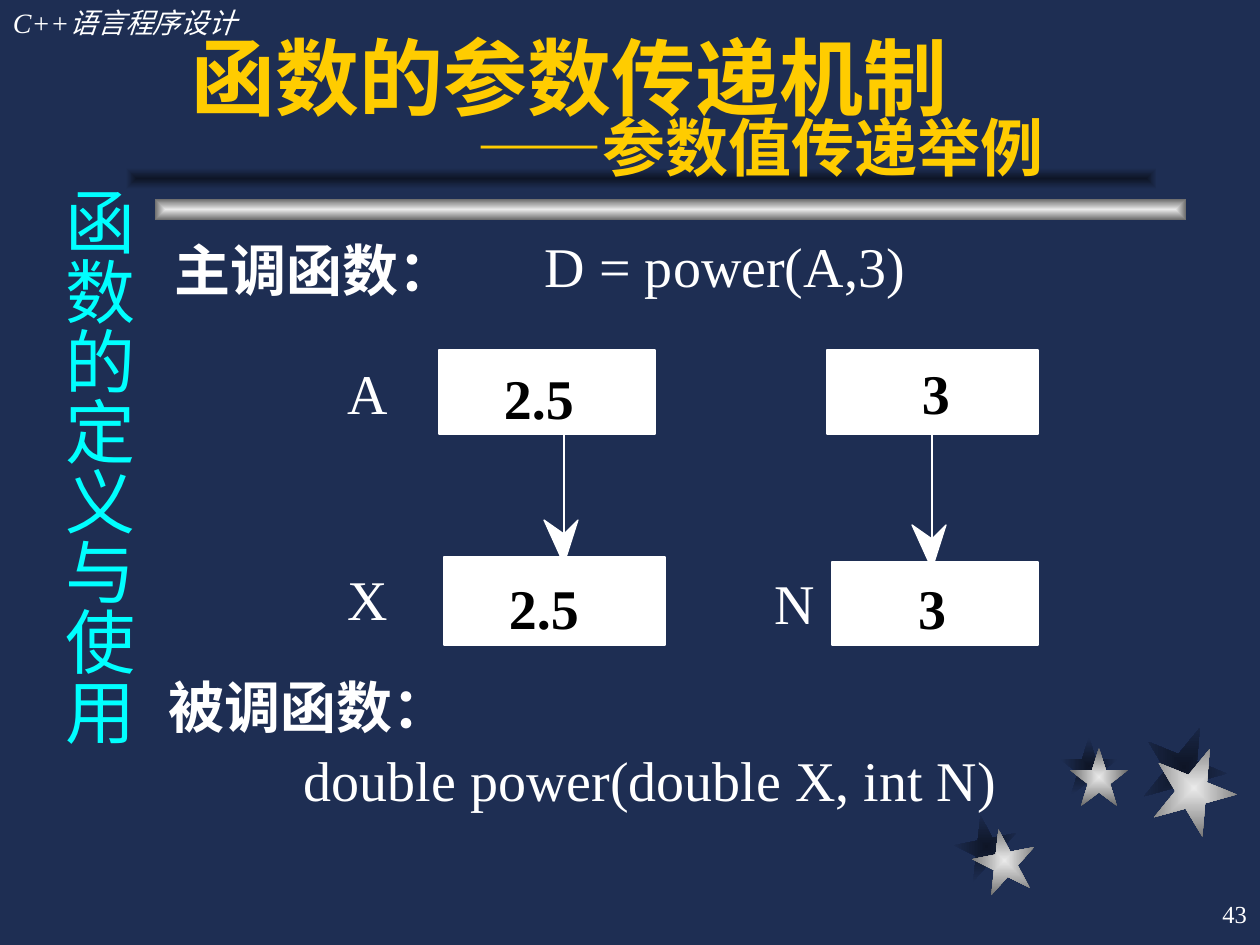
from dataclasses import dataclass
from typing import NamedTuple

from lxml import etree
from pptx import Presentation
from pptx.dml.color import RGBColor
from pptx.enum.shapes import MSO_CONNECTOR, MSO_SHAPE
from pptx.enum.text import MSO_ANCHOR, MSO_AUTO_SIZE, PP_ALIGN
from pptx.oxml.ns import qn
from pptx.util import Emu, Pt

RECTANGLE, STAR = MSO_SHAPE.RECTANGLE, MSO_SHAPE.STAR_5_POINT
STRAIGHT = MSO_CONNECTOR.STRAIGHT
TOP, MIDDLE, BOTTOM = MSO_ANCHOR.TOP, MSO_ANCHOR.MIDDLE, MSO_ANCHOR.BOTTOM
LEFT, RIGHT = PP_ALIGN.LEFT, PP_ALIGN.RIGHT
GROW = MSO_AUTO_SIZE.SHAPE_TO_FIT_TEXT

PX = 914400 / 126


@dataclass(frozen=True)
class Theme:
    background: str = "1E2E53"
    white: str = "FFFFFF"
    black: str = "000000"
    gold: str = "FFCC00"
    cyan: str = "00FFFF"
    metal: tuple[str, str] = ("EAEAEA", "6C6C6C")
    shade: tuple[str, str] = ("0E1526", "1E2E53")
    serif: str = "Times New Roman"
    sans: str = "Arial"
    title: int = 48
    subtitle: int = 36
    chapter: int = 40
    body: int = 32
    course: int = 16
    number: int = 14


THEME = Theme()


class Box(NamedTuple):
    left: int
    top: int
    width: int
    height: int


class Star(NamedTuple):
    shadow: Box
    front: Box
    rotation: int


class Label(NamedTuple):
    text: str
    box: Box
    color: str = THEME.white
    bold: bool = False


class Arrow(NamedTuple):
    x: int
    start: int
    tip: int


STARS = [
    Star(Box(955, 815, 63, 63), Box(973, 829, 63, 63), 349),
    Star(Box(1060, 737, 58, 58), Box(1070, 748, 58, 58), 0),
    Star(Box(1142, 725, 84, 84), Box(1152, 746, 84, 84), 22),
]
VALUE_BOXES = [
    Box(439, 350, 216, 84), Box(827, 350, 211, 84),
    Box(444, 557, 221, 88), Box(832, 562, 206, 83),
]
ARROWS = [Arrow(564, 412, 564), Arrow(932, 417, 569)]
LABELS = [
    Label("主调函数：", Box(174, 236, 282, 67), bold=True),
    Label("D = power(A,3)", Box(545, 231, 364, 67)),
    Label("A", Box(348, 358, 42, 67)),
    Label("X", Box(348, 564, 42, 67)),
    Label("N", Box(775, 569, 42, 67)),
    Label("2.5", Box(504, 363, 74, 67), THEME.black, True),
    Label("3", Box(922, 358, 30, 67), THEME.black, True),
    Label("2.5", Box(509, 573, 74, 67), THEME.black, True),
    Label("3", Box(918, 573, 30, 67), THEME.black, True),
    Label("被调函数：", Box(168, 672, 282, 67), bold=True),
    Label("double power(double X, int N)", Box(304, 746, 696, 67)),
]


def px(length: int) -> Emu:
    return Emu(round(length * PX))


def place(box: Box) -> list[Emu]:
    return [px(length) for length in box]


def rgb(color: str) -> RGBColor:
    return RGBColor.from_string(color)


def write(paragraph, text: str, *, size: int, color: str = THEME.white,
          font: str = THEME.serif, bold: bool = False, italic: bool = False,
          align=LEFT, spacing: float | None = None, indent: int = 0) -> None:
    paragraph.alignment = align
    if spacing:
        paragraph.line_spacing = spacing
    if indent:
        paragraph._p.get_or_add_pPr().set("marL", str(px(indent)))
    run = paragraph.add_run()
    run.text = text
    run.font.name = font
    run.font.size = Pt(size)
    run.font.bold = bold
    run.font.italic = italic
    run.font.color.rgb = rgb(color)


def add_frame(slide, box: Box, *, inset: tuple[int, int] = (0, 0),
              anchor=TOP, wrap: bool = True):
    frame = slide.shapes.add_textbox(*place(box)).text_frame
    frame.margin_left = frame.margin_right = px(inset[0])
    frame.margin_top = frame.margin_bottom = px(inset[1])
    frame.vertical_anchor = anchor
    frame.word_wrap = wrap
    if not wrap:
        frame.auto_size = GROW
    return frame


def add_gradient(slide, kind, box: Box, colors: tuple[str, str],
                 rotation: int = 0) -> None:
    """Preset shape shaded from its centre outwards."""
    shape = slide.shapes.add_shape(kind, *place(box))
    shape.rotation = rotation
    shape.shadow.inherit = False
    shape.line.fill.background()
    shape.fill.gradient()
    for stop, color in zip(shape.fill.gradient_stops, colors):
        stop.color.rgb = rgb(color)
    gradient = shape._element.spPr.find(qn("a:gradFill"))
    gradient.remove(gradient.find(qn("a:lin")))
    shade = etree.SubElement(gradient, qn("a:path"), {"path": "rect"})
    etree.SubElement(shade, qn("a:fillToRect"), dict.fromkeys("ltrb", "50000"))


def paint_white(shape, line_width: float) -> None:
    shape.shadow.inherit = False
    shape.fill.solid()
    shape.fill.fore_color.rgb = rgb(THEME.white)
    shape.line.color.rgb = rgb(THEME.white)
    shape.line.width = Pt(line_width)


def add_arrow(slide, arrow: Arrow) -> None:
    x, tip = arrow.x, arrow.tip
    line = slide.shapes.add_connector(
        STRAIGHT, px(x), px(arrow.start), px(x), px(tip - 25))
    line.line.color.rgb = rgb(THEME.white)
    line.line.width = Pt(1)
    etree.SubElement(line._element.spPr, qn("a:effectLst"))
    head = slide.shapes.build_freeform(x, tip, scale=PX)
    head.add_line_segments(
        [(x - 20, tip - 44), (x, tip - 30), (x + 14, tip - 44)], close=True)
    paint_white(head.convert_to_shape(), 0.75)


def main() -> None:
    presentation = Presentation()
    presentation.slide_width, presentation.slide_height = px(1260), px(945)
    slide = presentation.slides.add_slide(presentation.slide_layouts[6])
    slide.background.fill.solid()
    slide.background.fill.fore_color.rgb = rgb(THEME.background)

    # Stars with their shadows, then the divider bar
    for star in STARS:
        add_gradient(slide, STAR, star.shadow, THEME.shade, star.rotation)
    for star in STARS:
        add_gradient(slide, STAR, star.front, THEME.metal, star.rotation)
    add_gradient(slide, RECTANGLE, Box(155, 199, 1031, 21), THEME.metal)
    add_gradient(slide, RECTANGLE, Box(126, 168, 1031, 21), THEME.shade)

    # Course name, page number and title
    course = add_frame(slide, Box(0, 0, 388, 47), inset=(13, 6))
    write(course.paragraphs[0], "C++语言程序设计", size=THEME.course, italic=True)
    number = add_frame(slide, Box(998, 882, 262, 63), inset=(13, 6), anchor=MIDDLE)
    write(number.paragraphs[0], "43", size=THEME.number, align=RIGHT)
    title = add_frame(slide, Box(179, 32, 987, 157), inset=(13, 6), anchor=BOTTOM)
    write(title.paragraphs[0], "函数的参数传递机制", size=THEME.title,
          color=THEME.gold, font=THEME.sans, bold=True, spacing=0.7)
    write(title.add_paragraph(), "——参数值传递举例", size=THEME.subtitle,
          color=THEME.gold, font=THEME.sans, bold=True, spacing=0.78, indent=285)

    # Diagram of values passed from caller to callee
    for arrow in ARROWS:
        add_arrow(slide, arrow)
    for box in VALUE_BOXES:
        paint_white(slide.shapes.add_shape(RECTANGLE, *place(box)), 1)
    for label in LABELS:
        frame = add_frame(slide, label.box, wrap=False)
        write(frame.paragraphs[0], label.text, size=THEME.body,
              color=label.color, bold=label.bold)

    # Vertical chapter name, starting level with the divider bar
    chapter = add_frame(slide, Box(38, 126, 108, 683), inset=(6, 13))
    chapter.margin_top = px(61)
    chapter._txBody.bodyPr.set("vert", "eaVert")
    write(chapter.paragraphs[0], "函数的定义与使用", size=THEME.chapter,
          color=THEME.cyan)

    presentation.save("out.pptx")


if __name__ == "__main__":
    main()
